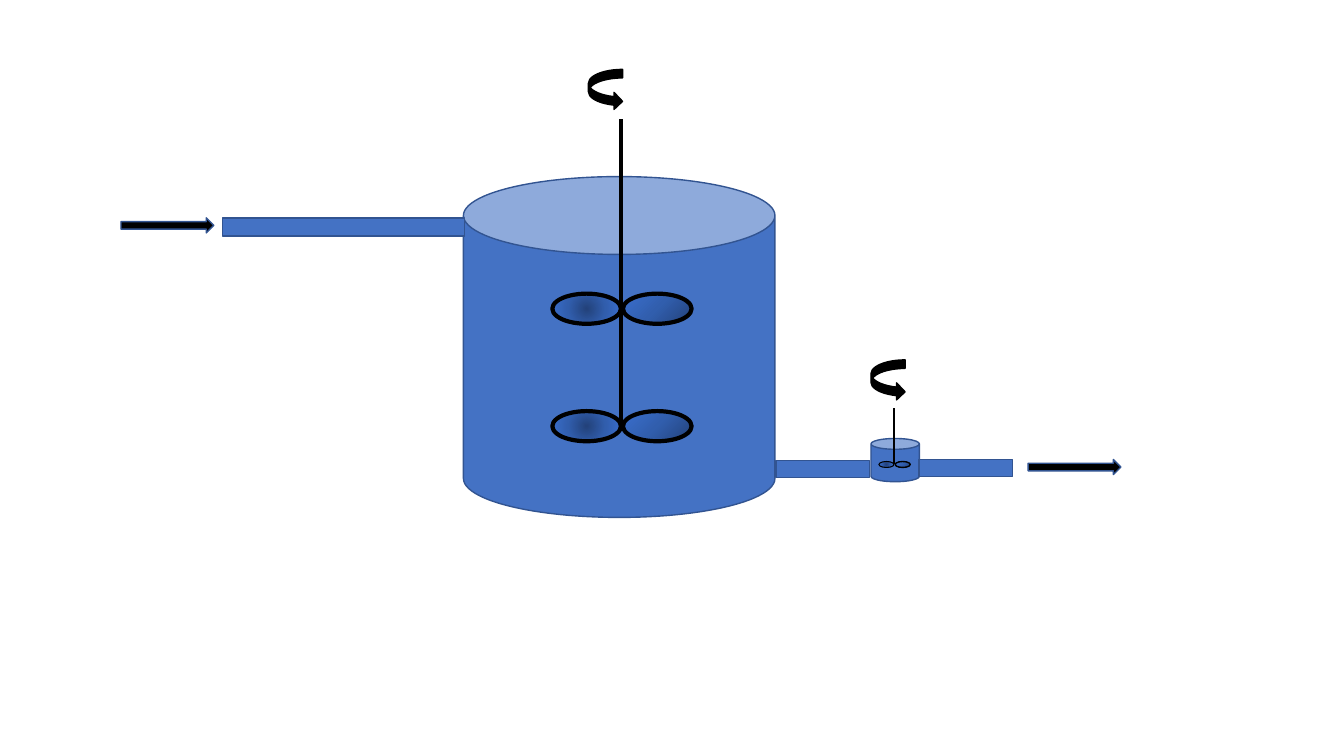
from lxml import etree
from pptx import Presentation
from pptx.dml.color import RGBColor
from pptx.enum.shapes import MSO_CONNECTOR, MSO_SHAPE
from pptx.oxml.ns import qn
from pptx.util import Cm, Pt

COLORS = {
    "water": "4472C4",
    "outline": "325491",
    "black": "000000",
    "blade_dark": "23427A",
    "blade_mid": "315EAD",
    "blade_light": "3A6FCE",
}


def color(name):
    return RGBColor.from_string(COLORS[name])


def add_part(group, kind, left, top, width, height, fill="water", line="outline", weight=1):
    part = group.shapes.add_shape(kind, Cm(left), Cm(top), Cm(width), Cm(height))
    part.shadow.inherit = False
    part.fill.solid()
    part.fill.fore_color.rgb = color(fill)
    part.line.color.rgb = color(line)
    part.line.width = Pt(weight)
    return part


def shade_blade(blade, radial):
    """Fill a blade with three blues, from its centre or from its lower right."""
    blade.fill.gradient()
    gradient = blade.element.spPr.find(qn("a:gradFill"))
    for child in list(gradient):
        gradient.remove(child)
    stops = etree.SubElement(gradient, qn("a:gsLst"))
    for position, name in ((0, "blade_dark"), (50000, "blade_mid"), (100000, "blade_light")):
        stop = etree.SubElement(stops, qn("a:gs"), pos=str(position))
        etree.SubElement(stop, qn("a:srgbClr"), val=COLORS[name])
    if radial:
        shade = etree.SubElement(gradient, qn("a:path"), path="circle")
        etree.SubElement(shade, qn("a:fillToRect"), l="50000", t="50000", r="50000", b="50000")
    else:
        etree.SubElement(gradient, qn("a:lin"), ang=str(225 * 60000), scaled="0")


def add_blades(group, lefts, top, width, height, weights):
    for left, weight, radial in zip(lefts, weights, (True, False)):
        blade = add_part(group, MSO_SHAPE.OVAL, left, top, width, height,
                         line="black", weight=weight)
        shade_blade(blade, radial)


def add_shaft(group, x, top, bottom, weight):
    shaft = group.shapes.add_connector(MSO_CONNECTOR.STRAIGHT, Cm(x), Cm(top), Cm(x), Cm(bottom))
    shaft.line.color.rgb = color("black")
    shaft.line.width = Pt(weight)
    etree.SubElement(shaft.element.spPr, qn("a:effectLst"))


def add_pipe(group, left, top, width, height):
    add_part(group, MSO_SHAPE.RECTANGLE, left, top, width, height)


def add_flow_arrow(group, left, top):
    add_part(group, MSO_SHAPE.RIGHT_ARROW, left, top, 2.34, 0.38, fill="black")


def add_rotation_arrow(group, left, top):
    add_part(group, MSO_SHAPE.CURVED_RIGHT_ARROW, left, top, 0.86, 1.02,
             fill="black", line="black")


def main():
    deck = Presentation()
    deck.slide_width, deck.slide_height = Cm(33.87), Cm(19.05)
    page = deck.slides.add_slide(deck.slide_layouts[6])
    plant = page.shapes.add_group_shape()

    # Large stirred tank with its inlet and outlet
    add_part(plant, MSO_SHAPE.CAN, 11.68, 4.45, 7.85, 8.59)
    add_pipe(plant, 5.61, 5.49, 6.1, 0.46)
    add_pipe(plant, 19.56, 11.61, 2.36, 0.43)
    add_flow_arrow(plant, 3.05, 5.49)
    add_flow_arrow(plant, 25.91, 11.58)
    add_shaft(plant, 15.65, 3, 10.77, 3)
    for top in (10.36, 7.4):
        add_blades(plant, (13.92, 15.7), top, 1.73, 0.76, (3, 3))
    add_rotation_arrow(plant, 14.83, 1.75)

    # Small stirred tank in the outlet line
    add_part(plant, MSO_SHAPE.CAN, 21.95, 11.05, 1.22, 1.09)
    add_shaft(plant, 22.53, 10.29, 11.68, 1.5)
    add_blades(plant, (22.15, 22.56), 11.63, 0.38, 0.15, (0.75, 1))
    add_pipe(plant, 23.16, 11.58, 2.36, 0.43)
    add_rotation_arrow(plant, 21.95, 9.07)

    deck.save("out.pptx")


if __name__ == "__main__":
    main()
